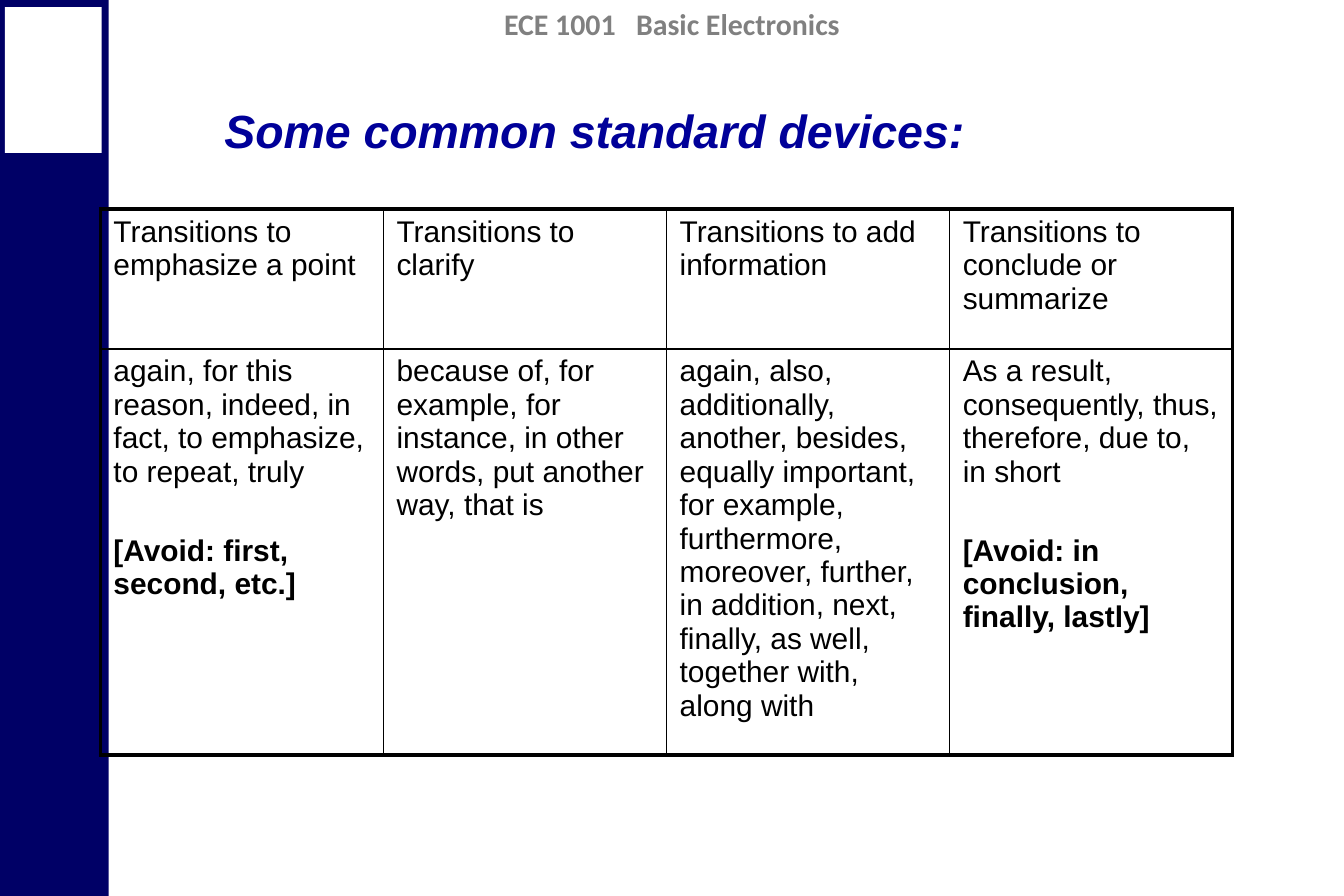
from dataclasses import dataclass

from lxml import etree
from pptx import Presentation
from pptx.dml.color import RGBColor
from pptx.enum.shapes import MSO_SHAPE
from pptx.enum.text import MSO_ANCHOR, MSO_AUTO_SIZE, PP_ALIGN
from pptx.oxml.ns import qn
from pptx.util import Inches, Pt

RECTANGLE = MSO_SHAPE.RECTANGLE
LEFT, CENTER = PP_ALIGN.LEFT, PP_ALIGN.CENTER
TOP, MIDDLE = MSO_ANCHOR.TOP, MSO_ANCHOR.MIDDLE
NO_AUTOFIT = MSO_AUTO_SIZE.NONE
TITLE_ONLY = 5


@dataclass(frozen=True)
class Theme:
    navy: str = "000066"
    white: str = "FFFFFF"
    black: str = "000000"
    grey: str = "808080"
    title_blue: str = "000099"
    body_font: str = "Arial"
    header_font: str = "Calibri"
    title_size: float = 28
    body_size: float = 18
    note_gap: float = 27.4
    course_gap: float = 8.15
    outer_line: float = 2.25
    inner_line: float = 1


THEME = Theme()

# Heading, devices, and an optional note on what to avoid
DEVICES = [
    ("Transitions to emphasize a point",
     "again, for this reason, indeed, in fact, to emphasize, to repeat, truly",
     "[Avoid: first, second, etc.]"),
    ("Transitions to clarify",
     "because of, for example, for instance, in other words, put another way, "
     "that is",
     None),
    ("Transitions to add information",
     "again, also, additionally, another, besides, equally important, "
     "for example, furthermore, moreover, further, in addition, next, finally, "
     "as well, together with, along with",
     None),
    ("Transitions to conclude or summarize",
     "As a result, consequently, thus, therefore, due to, in short",
     "[Avoid: in conclusion, finally, lastly]"),
]
COLUMN_WIDTH = 2.37
ROW_HEIGHTS = [1.17, 3.17]


def write(para, text, *, size=THEME.body_size, font=THEME.body_font,
          color=THEME.black, bold=False, italic=False, align=LEFT,
          space_before=0, tracking=0):
    """Add one formatted span to a paragraph; tracking is in points."""
    para.alignment = align
    para.space_before = Pt(space_before)
    span = para.add_run()
    span.text = text
    span.font.name = font
    span.font.size = Pt(size)
    span.font.bold = bold
    span.font.italic = italic
    span.font.color.rgb = RGBColor.from_string(color)
    if tracking:
        span._r.get_or_add_rPr().set("spc", str(round(tracking * 100)))


def place(shape, left, top, width, height):
    shape.left, shape.top = Inches(left), Inches(top)
    shape.width, shape.height = Inches(width), Inches(height)


def add_panel(page, left, top, width, height, color):
    panel = page.shapes.add_shape(RECTANGLE, Inches(left), Inches(top),
                                  Inches(width), Inches(height))
    panel.shadow.inherit = False
    panel.fill.solid()
    panel.fill.fore_color.rgb = RGBColor.from_string(color)
    panel.line.fill.background()


def add_course_header(page):
    box = page.shapes.add_textbox(0, 0, Inches(11.25), Inches(0.4))
    box.text_frame.word_wrap = True
    para = box.text_frame.paragraphs[0]
    for text, tracking in [("ECE 1001", 0), (" ", THEME.course_gap),
                           ("Basic Electronics", 0)]:
        write(para, text, font=THEME.header_font, color=THEME.grey,
              bold=True, align=CENTER, tracking=tracking)


def set_title(page, text):
    title = page.shapes.title
    place(title, 0.56, 0.5, 8.83, 1.58)
    frame = title.text_frame
    frame.word_wrap = True
    frame.auto_size = NO_AUTOFIT
    frame.vertical_anchor = MIDDLE
    frame.margin_top, frame.margin_bottom = Inches(0.05), Inches(0.45)
    write(frame.paragraphs[0], text, size=THEME.title_size,
          color=THEME.title_blue, bold=True, italic=True, align=CENTER)


def add_border(cell, side, width):
    properties = cell._tc.get_or_add_tcPr()
    line = etree.SubElement(properties, qn(f"a:ln{side}"), w=str(Pt(width)))
    fill = etree.SubElement(line, qn("a:solidFill"))
    etree.SubElement(fill, qn("a:srgbClr"), val=THEME.black)


def format_cell(cell, outer_sides):
    """Clear the fill and rule the cell, heavier along the table's edge."""
    for side in "LRTB":
        add_border(cell, side, THEME.outer_line if side in outer_sides
                   else THEME.inner_line)
    cell.fill.background()
    cell.vertical_anchor = TOP
    cell.margin_left = cell.margin_right = Inches(0.11)
    cell.margin_top = cell.margin_bottom = Inches(0.05)


def add_device_table(page):
    rows, columns = len(ROW_HEIGHTS), len(DEVICES)
    table = page.shapes.add_table(
        rows, columns, Inches(0.84), Inches(1.75),
        Inches(COLUMN_WIDTH * columns), Inches(sum(ROW_HEIGHTS))).table
    table.first_row = table.horz_banding = False
    for row, height in zip(table.rows, ROW_HEIGHTS):
        row.height = Inches(height)

    for column, (heading, devices, note) in enumerate(DEVICES):
        table.columns[column].width = Inches(COLUMN_WIDTH)
        edge = {0: "L", columns - 1: "R"}.get(column, "")
        for row, text in enumerate((heading, devices)):
            cell = table.cell(row, column)
            format_cell(cell, edge + "TB"[row])
            write(cell.text_frame.paragraphs[0], text)
        if note:
            write(cell.text_frame.add_paragraph(), note, bold=True,
                  space_before=THEME.note_gap)


def main():
    deck = Presentation()
    deck.slide_width, deck.slide_height = Inches(11.25), Inches(7.5)
    page = deck.slides.add_slide(deck.slide_layouts[TITLE_ONLY])
    add_panel(page, -0.01, 0, 0.92, 7.5, THEME.navy)
    add_course_header(page)
    add_panel(page, 0.04, 0.06, 0.81, 1.22, THEME.white)
    set_title(page, "Some common standard devices:")
    add_device_table(page)
    deck.save("out.pptx")


if __name__ == "__main__":
    main()
